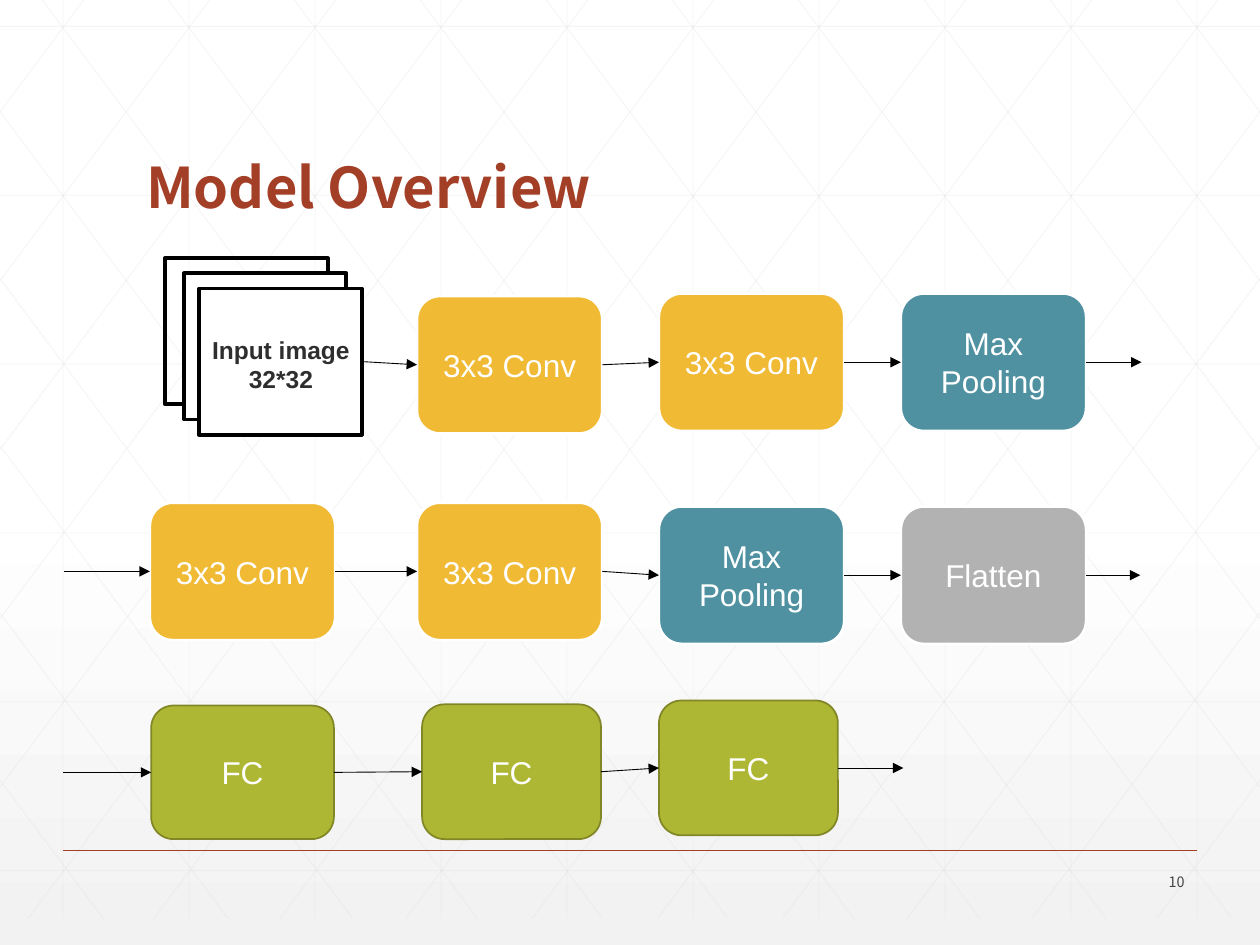
"""Build the Model Overview slide: a network drawn as three rows of layers."""
from dataclasses import dataclass
from typing import Optional

from lxml import etree
from pptx import Presentation
from pptx.dml.color import RGBColor
from pptx.enum.shapes import MSO_CONNECTOR, MSO_SHAPE
from pptx.enum.text import MSO_ANCHOR, MSO_AUTO_SIZE, PP_ALIGN
from pptx.oxml.ns import qn
from pptx.util import Inches, Pt

STRAIGHT = MSO_CONNECTOR.STRAIGHT
RECTANGLE, ROUNDED = MSO_SHAPE.RECTANGLE, MSO_SHAPE.ROUNDED_RECTANGLE
LEFT, CENTER, RIGHT = PP_ALIGN.LEFT, PP_ALIGN.CENTER, PP_ALIGN.RIGHT
TOP, MIDDLE, BOTTOM = MSO_ANCHOR.TOP, MSO_ANCHOR.MIDDLE, MSO_ANCHOR.BOTTOM
NO_AUTOFIT = MSO_AUTO_SIZE.NONE
LEFT_SIDE, RIGHT_SIDE = 1, 3
TITLE_ONLY = 5

HEADING_FONT, BODY_FONT = "Noto Sans CJK TC", "Arial"
COLORS = {
    "white": "FFFFFF", "black": "000000", "fade": "F2F2F2", "lattice": "D9D9D9",
    "rust": "A43F27", "number": "424342", "input": "2D2E2D", "conv": "F0BA34",
    "pool": "4F91A1", "flatten": "B2B2B2", "dense": "AEB733", "dense_edge": "818726",
}
WIDTH, HEIGHT = 10, 7.5
LATTICE_TOP, LATTICE_BOTTOM, SLOPE = -0.21, 7.29, 1.34


@dataclass
class Style:
    """Fill and outline of a kind of layer."""
    fill: Optional[str]
    edge: str
    weight: float


@dataclass
class Layer:
    """One box of the network."""
    text: str
    style: Style
    left: float
    top: float
    width: float = 1.47
    height: float = 1.09


@dataclass
class Row:
    """Layers joined in order, with the outer ends of the row's arrows."""
    layers: list
    end: float
    start: Optional[float] = None


CONV = Style("conv", "white", 1.5)
POOL = Style("pool", "white", 1.5)
FLATTEN = Style("flatten", "white", 1.5)
DENSE = Style("dense", "dense_edge", 1)
SHEET = Style("white", "black", 2.25)
BACK_SHEET = Style(None, "black", 2.25)

INPUT_SHEETS = [
    Layer("", BACK_SHEET, 1.31, 2.05, 1.29, 1.16),
    Layer("", SHEET, 1.46, 2.17, 1.29, 1.16),
    Layer("", SHEET, 1.58, 2.29, 1.29, 1.16),
]
ROWS = [
    Row([Layer("3x3 Conv", CONV, 3.31, 2.35), Layer("3x3 Conv", CONV, 5.23, 2.33),
         Layer("Max Pooling", POOL, 7.15, 2.33)], end=9.06),
    Row([Layer("3x3 Conv", CONV, 1.19, 3.99), Layer("3x3 Conv", CONV, 3.31, 3.99),
         Layer("Max Pooling", POOL, 5.23, 4.02), Layer("Flatten", FLATTEN, 7.15, 4.02)],
        end=9.05, start=0.51),
    Row([Layer("FC", DENSE, 1.2, 5.6, 1.45, 1.06), Layer("FC", DENSE, 3.35, 5.59, 1.42, 1.07),
         Layer("FC", DENSE, 5.23, 5.56, 1.42, 1.07)], end=7.17, start=0.5),
]


def color(name: str) -> RGBColor:
    """Return the named colour."""
    return RGBColor.from_string(COLORS[name])


def write_text(shape, text: str, *, size: float, ink: str, font: str = BODY_FONT,
               bold: bool = False, align=CENTER, anchor=MIDDLE, wrap: bool = True,
               spacing: float = 1.0) -> None:
    """Fill a shape with formatted paragraphs, one for each line of text."""
    frame = shape.text_frame
    frame.auto_size = NO_AUTOFIT
    frame.word_wrap = wrap
    frame.vertical_anchor = anchor
    frame.text = text
    for para in frame.paragraphs:
        para.alignment = align
        para.line_spacing = spacing
        for span in para.runs:
            span.font.size = Pt(size)
            span.font.name = font
            span.font.bold = bold
            span.font.color.rgb = color(ink)


def draw_line(shapes, start: tuple, end: tuple, ink: str, weight: float):
    """Draw a straight line without a shadow."""
    line = shapes.add_connector(STRAIGHT, *(Inches(value) for value in (*start, *end)))
    line.line.color.rgb = color(ink)
    line.line.width = Pt(weight)
    etree.SubElement(line.element.spPr, qn("a:effectLst"))
    return line


def draw_arrow(shapes, start: tuple, end: tuple, source=None, target=None) -> None:
    """Draw an arrow, joined to its source and target boxes if given."""
    arrow = draw_line(shapes, start, end, "black", 0.5)
    if source is not None:
        arrow.begin_connect(source, RIGHT_SIDE)
    if target is not None:
        arrow.end_connect(target, LEFT_SIDE)
    etree.SubElement(arrow.line._get_or_add_ln(), qn("a:tailEnd"), type="triangle")


def draw_layer(shapes, layer: Layer, kind=ROUNDED):
    """Draw one layer box with its label."""
    box = shapes.add_shape(kind, Inches(layer.left), Inches(layer.top),
                           Inches(layer.width), Inches(layer.height))
    box.shadow.inherit = False
    if layer.style.fill:
        box.fill.solid()
        box.fill.fore_color.rgb = color(layer.style.fill)
    else:
        box.fill.background()
    box.line.color.rgb = color(layer.style.edge)
    box.line.width = Pt(layer.style.weight)
    if layer.text:
        write_text(box, layer.text, size=18, ink="white")
    return box


def draw_row(shapes, row: Row, source=None) -> None:
    """Draw a row of layers and the arrows into, between and out of them."""
    for layer in row.layers:
        box = draw_layer(shapes, layer)
        middle = layer.top + layer.height / 2
        if source is not None or row.start is not None:
            draw_arrow(shapes, (row.start or 0, middle), (layer.left, middle), source, box)
        source = box
    draw_arrow(shapes, (layer.left + layer.width, middle), (row.end, middle), source)


def lattice_lines() -> list:
    """Work out the ends of the upright, level and slanted background lines."""
    lines = [((i + 0.5, LATTICE_TOP), (i + 0.5, LATTICE_BOTTOM)) for i in range(10)]
    lines += [((0, 0.21 + SLOPE * i), (WIDTH, 0.21 + SLOPE * i)) for i in range(6)]
    slants = []
    for i in range(10):
        x = 0.18 + i
        right = min(WIDTH, x + (LATTICE_BOTTOM - LATTICE_TOP) / SLOPE)
        slants.append(((x, LATTICE_TOP), (right, LATTICE_TOP + SLOPE * (right - x))))
    for i in range(5):
        x = 4.78 - 0.99 * i
        slants.append(((x, LATTICE_BOTTOM), (0, LATTICE_BOTTOM - SLOPE * x)))
    mirrored = [tuple((WIDTH - x, y) for x, y in slant) for slant in slants]
    return lines + slants + mirrored


def draw_background(page) -> None:
    """Paint the gradient, the faint lattice and the footer rule."""
    fill = page.background.fill
    fill.gradient()
    fill.gradient_angle = 270
    for stop, position, name in zip(fill.gradient_stops, (0.53, 1), ("white", "fade")):
        stop.position = position
        stop.color.rgb = color(name)
    lattice = page.shapes.add_group_shape()
    for start, end in lattice_lines():
        line = draw_line(lattice.shapes, start, end, "lattice", 0.5)
        for shade in line.element.spPr.iter(qn("a:srgbClr")):
            etree.SubElement(shade, qn("a:alpha"), val="25000")
    draw_line(page.shapes, (0.5, 6.75), (9.5, 6.75), "rust", 1)


def add_label(shapes, left: float, top: float, width: float, height: float):
    """Add an empty text box."""
    return shapes.add_textbox(Inches(left), Inches(top), Inches(width), Inches(height))


def main() -> None:
    """Build and save the deck."""
    deck = Presentation()
    deck.slide_width, deck.slide_height = Inches(WIDTH), Inches(HEIGHT)
    page = deck.slides.add_slide(deck.slide_layouts[TITLE_ONLY])
    draw_background(page)

    title = page.shapes.title
    title.left, title.top = Inches(1.06), Inches(0.55)
    title.width, title.height = Inches(7.88), Inches(1.25)
    write_text(title, "Model Overview", size=32, ink="rust", font=HEADING_FONT,
               bold=True, align=LEFT, anchor=BOTTOM, spacing=0.9)
    title.element.getparent().append(title.element)
    write_text(add_label(page.shapes, 8.75, 6.88, 0.75, 0.24), "10", size=8.2,
               ink="number", font=HEADING_FONT, align=RIGHT)

    sheets = [draw_layer(page.shapes, sheet, RECTANGLE) for sheet in INPUT_SHEETS]
    write_text(add_label(page.shapes, 1.58, 2.61, 1.3, 0.57), "Input image\n32*32",
               size=14, ink="input", bold=True, anchor=TOP, wrap=False)
    for row, source in zip(ROWS, (sheets[-1], None, None)):
        draw_row(page.shapes, row, source)
    deck.save("out.pptx")


if __name__ == "__main__":
    main()
